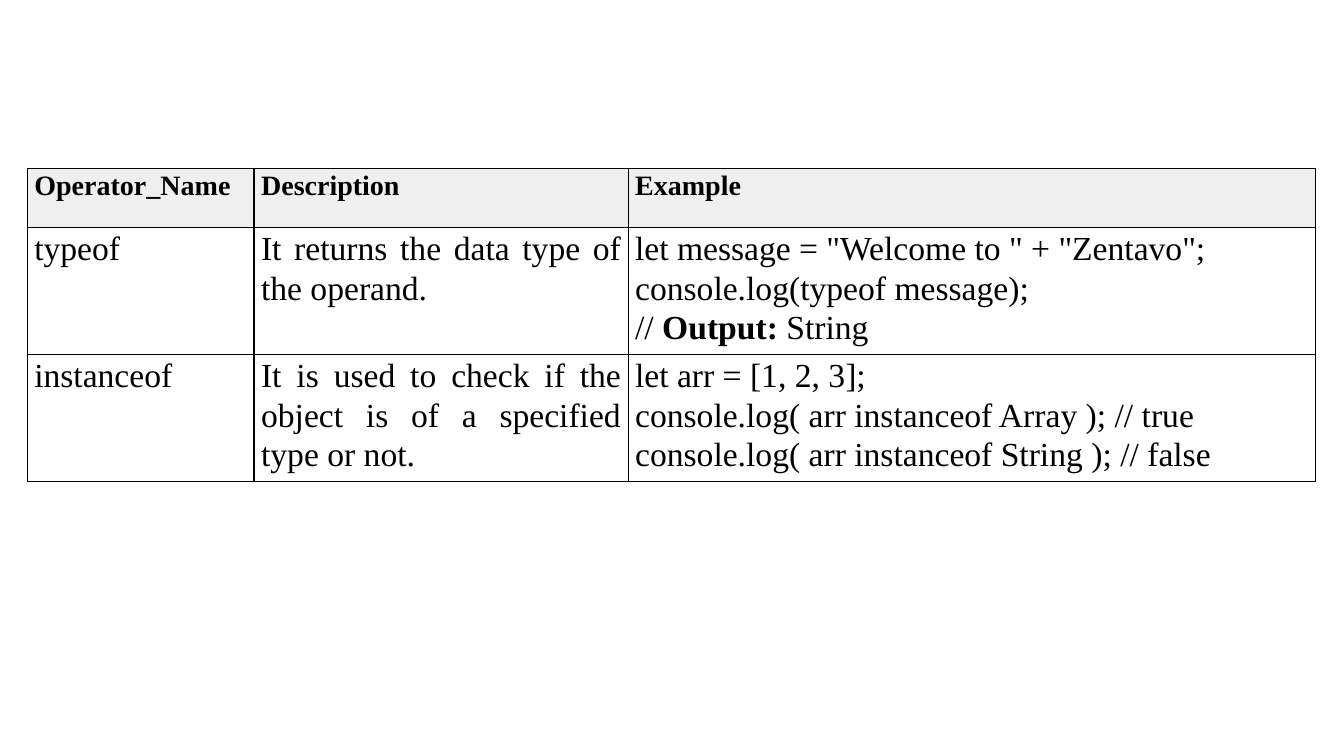
from dataclasses import dataclass

from lxml import etree
from pptx import Presentation
from pptx.dml.color import RGBColor
from pptx.enum.text import PP_ALIGN
from pptx.oxml.ns import qn
from pptx.util import Inches, Pt

JUSTIFY = PP_ALIGN.JUSTIFY
BLANK_LAYOUT = 6


@dataclass(frozen=True)
class Theme:
    font: str = "Times New Roman"
    ink: str = "000000"
    header_fill: str = "EFEFEF"
    header_size: int = 20
    body_size: int = 24
    line_spacing: float = 1.07
    border: float = 1
    side_margin: float = 0.07


THEME = Theme()

TABLE_BOX = (0.27, 1.67, 12.78, 3.11)
COLUMN_WIDTHS = (2.25, 3.71, 6.82)
ROW_HEIGHTS = (0.59, 1.26, 1.26)

# Each cell is a list of lines; each line is a list of (text, bold) spans.
HEADER = [[[(title, True)]] for title in ("Operator_Name", "Description", "Example")]
OPERATORS = [
    [
        [[("typeof", False)]],
        [[("It returns the data type of the operand.", False)]],
        [
            [('let message = "Welcome to " + "Zentavo";', False)],
            [("console.log(typeof message);", False)],
            [("// ", False), ("Output: ", True), ("String", False)],
        ],
    ],
    [
        [[("instanceof", False)]],
        [[("It is used to check if the object is of a specified type or not.", False)]],
        [
            [("let arr = [1, 2, 3];", False)],
            [("console.log( arr instanceof Array ); // true", False)],
            [("console.log( arr instanceof String ); // false", False)],
        ],
    ],
]


def draw_borders(cell):
    properties = cell._tc.get_or_add_tcPr()
    for side in ("a:lnL", "a:lnR", "a:lnT", "a:lnB"):
        line = etree.SubElement(properties, qn(side), w=str(Pt(THEME.border)))
        fill = etree.SubElement(line, qn("a:solidFill"))
        etree.SubElement(fill, qn("a:srgbClr"), val=THEME.ink)


def write_line(para, spans, size):
    para.alignment = JUSTIFY
    para.line_spacing = THEME.line_spacing
    font = para.font
    font.name = THEME.font
    font.size = Pt(size)
    font.color.rgb = RGBColor.from_string(THEME.ink)
    if len({bold for _, bold in spans}) == 1:
        font.bold = spans[0][1]
    for text, bold in spans:
        span = para.add_run()
        span.text = text
        if font.bold is None:
            span.font.bold = bold


def fill_cell(cell, lines, is_header):
    cell.margin_left = cell.margin_right = Inches(THEME.side_margin)
    cell.margin_top = cell.margin_bottom = 0
    draw_borders(cell)
    if is_header:
        cell.fill.solid()
        cell.fill.fore_color.rgb = RGBColor.from_string(THEME.header_fill)
    else:
        cell.fill.background()
    size = THEME.header_size if is_header else THEME.body_size
    frame = cell.text_frame
    for index, spans in enumerate(lines):
        para = frame.add_paragraph() if index else frame.paragraphs[0]
        write_line(para, spans, size)


def add_operator_table(page, box):
    """Place the table in box, sharing its size out by the column and row proportions."""
    left, top, width, height = box
    rows = [HEADER, *OPERATORS]
    table = page.shapes.add_table(
        len(rows), len(HEADER), Inches(left), Inches(top), Inches(width), Inches(height)
    ).table
    table.first_row = False
    table.horz_banding = False
    for column, share in zip(table.columns, COLUMN_WIDTHS):
        column.width = Inches(width * share / sum(COLUMN_WIDTHS))
    for row, share in zip(table.rows, ROW_HEIGHTS):
        row.height = Inches(height * share / sum(ROW_HEIGHTS))
    for row_index, cells in enumerate(rows):
        for column_index, lines in enumerate(cells):
            fill_cell(table.cell(row_index, column_index), lines, row_index == 0)


def main():
    deck = Presentation()
    deck.slide_width = Inches(13.33)
    deck.slide_height = Inches(7.5)
    page = deck.slides.add_slide(deck.slide_layouts[BLANK_LAYOUT])
    add_operator_table(page, TABLE_BOX)
    deck.save("out.pptx")


if __name__ == "__main__":
    main()
